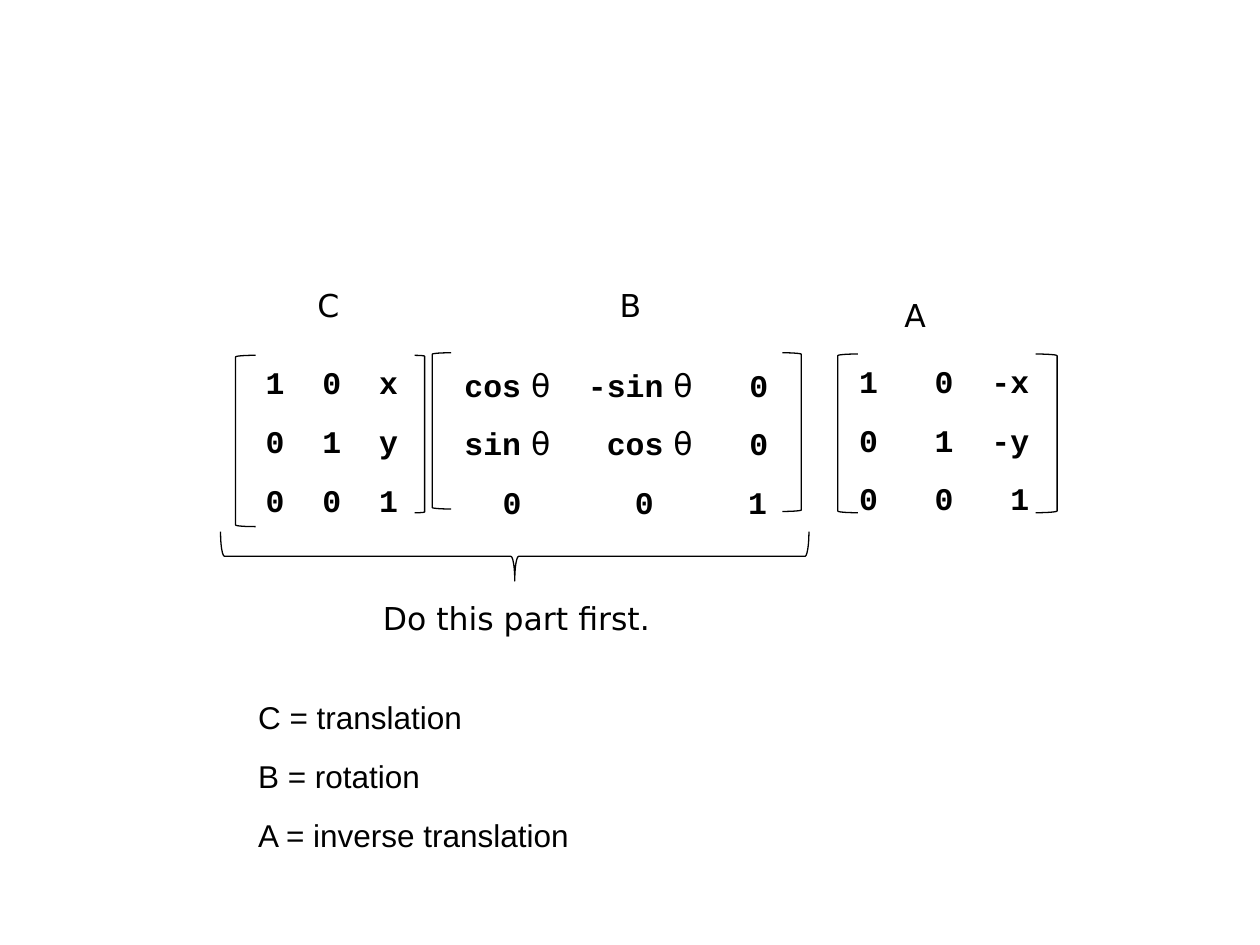
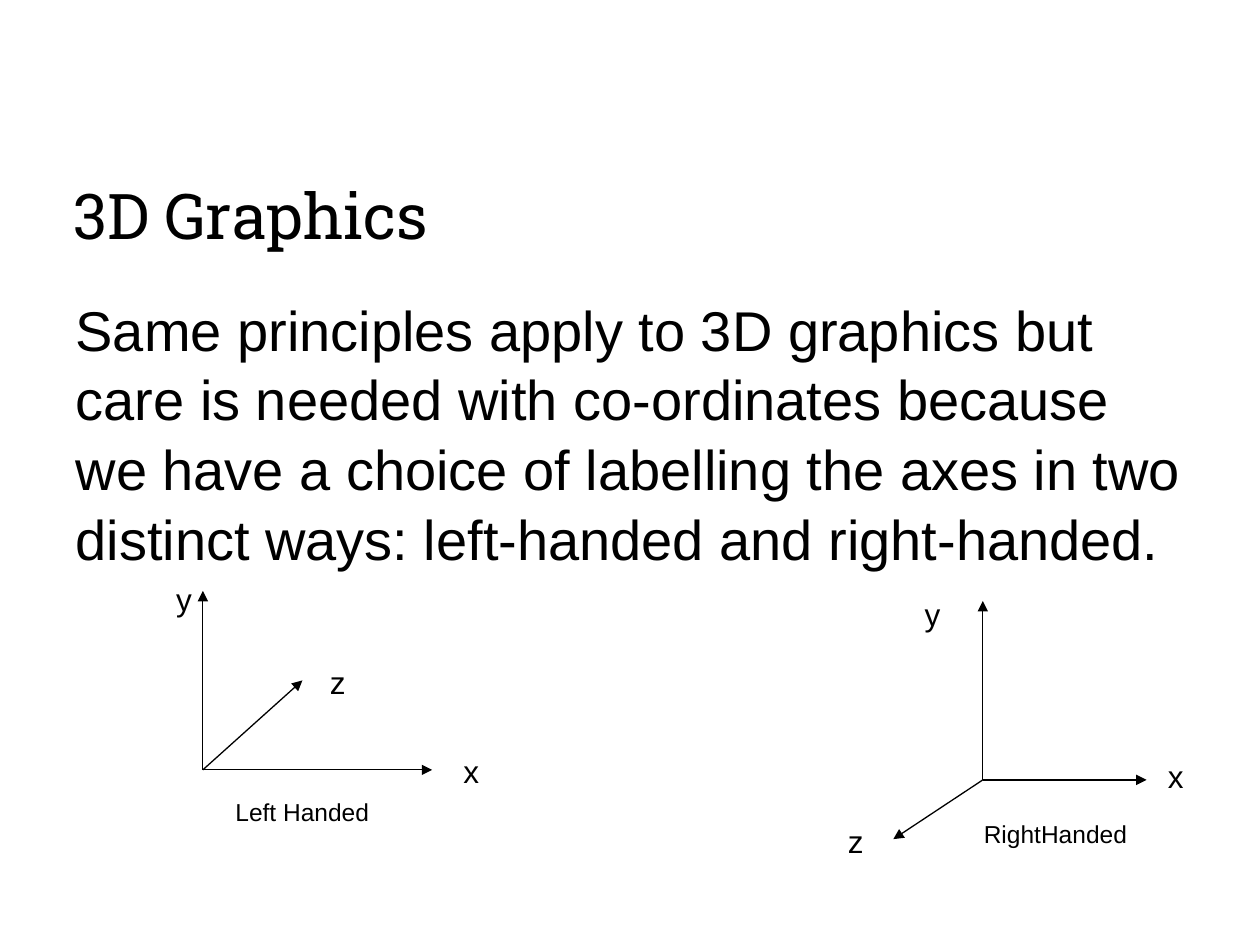
from pptx import Presentation
from pptx.dml.color import RGBColor
from pptx.enum.shapes import MSO_CONNECTOR as LINE, MSO_SHAPE as SHAPE
from pptx.enum.text import MSO_ANCHOR as ANCHOR, MSO_AUTO_SIZE as FIT, PP_ALIGN as ALIGN
from pptx.oxml.ns import qn
from pptx.util import Inches, Pt
from lxml.etree import SubElement

COLORS = {"ink": "000000", "page": "FFFFFF"}
SANS, MONO, GREEK, SLAB = "Arial", "Courier New", "DejaVu Sans", "Roboto Slab"
LEADING = 1.04

# Each matrix: box, column stops by row, rows, left and right bracket boxes
MATRICES = [
    {"box": (1.71, 2.82, 2.02, 1.32),
     "stops": [(0.45, 0.9, 1.35)] * 3,
     "rows": [("1", "0", "x"), ("0", "1", "y"), ("0", "0", "1")],
     "left": (1.87, 2.82, 0.16, 1.36), "right": (3.29, 2.82, 0.08, 1.25)},
    {"box": (3.29, 2.84, 3.3, 1.32),
     "stops": [(0.98, 2.11, 2.71)] * 2 + [(0.75, 1.8, 2.7)],
     "rows": [("cos θ", "-sin θ", "0"), ("sin θ", "cos θ", "0"), ("0", "0", "1")],
     "left": (3.43, 2.8, 0.15, 1.24), "right": (6.21, 2.8, 0.15, 1.26)},
    {"box": (6.42, 2.81, 2.2, 1.32),
     "stops": [(0.45, 1.05, 1.65)] * 3,
     "rows": [("1", "0", "-x"), ("0", "1", "-y"), ("0", "0", "1")],
     "left": (6.65, 2.81, 0.16, 1.26), "right": (8.22, 2.81, 0.17, 1.26)},
]
NAMES = [("C", 2.42, 2.21), ("B", 4.82, 2.21), ("A", 7.08, 2.29)]
BRACE = (3.89, 2.08, 0.39, 4.67)
HINT = ("Do this part first.", (2.94, 4.69, 2.44, 0.4))
KEY = (["C = translation", "B = rotation", "A = inverse translation"],
       (1.95, 5.48, 6.75, 1.32))

TITLE = ("3D Graphics", (0.48, 1.22, 9.02, 0.96))
BODY = ("Same principles apply to 3D graphics but care is needed with "
        "co-ordinates because we have a choice of labelling the axes in two "
        "distinct ways: left-handed and right-handed.", (0.5, 2.27, 9, 3.27))
# Each system: origin, axes as (name, arrow tip, label corner), caption
SYSTEMS = [
    {"origin": (1.61, 6.11),
     "axes": [("y", (1.61, 4.69), (1.3, 4.54)),
              ("x", (3.43, 6.11), (3.58, 5.91)),
              ("z", (2.4, 5.4), (2.52, 5.2))],
     "caption": ("Left Handed", (1.77, 6.27, 1.57, 0.34))},
    {"origin": (7.8, 6.19),
     "axes": [("y", (7.8, 4.77), (7.24, 4.66)),
              ("x", (9.1, 6.19), (9.17, 5.95)),
              ("z", (7.09, 6.66), (6.63, 6.46))],
     "caption": ("RightHanded", (7.71, 6.44, 1.57, 0.34))},
]


def inches(nums):
    return [Inches(n) for n in nums]


def ink():
    return RGBColor.from_string(COLORS["ink"])


def style(run, face, size, bold=False):
    font = run.font
    font.name, font.size, font.bold = face, Pt(size), bold
    font.color.rgb = ink()


def put_text(slide, lines, box, face=SANS, size=18):
    frame = slide.shapes.add_textbox(*inches(box)).text_frame
    frame.word_wrap = True
    frame.text = "\n".join(lines)
    for n, para in enumerate(frame.paragraphs):
        para.line_spacing = LEADING
        if n:
            para.space_before = Pt(11.2)
        for run in para.runs:
            style(run, face, size)
    return frame


def set_stops(para, stops):
    """Give a paragraph right-aligned tab stops."""
    tabs = SubElement(para._p.get_or_add_pPr(), qn("a:tabLst"))
    for stop in stops:
        SubElement(tabs, qn("a:tab"), pos=str(Inches(stop)), algn="r")


def outline(slide, kind, box, bend):
    shape = slide.shapes.add_shape(kind, *inches(box))
    shape.shadow.inherit = False
    shape.fill.background()
    shape.line.color.rgb = ink()
    shape.line.width = Pt(0.75)
    shape.adjustments[0] = bend
    return shape


def put_matrix(slide, matrix):
    frame = put_text(slide, [""] * len(matrix["rows"]), matrix["box"])
    for para, row, stops in zip(frame.paragraphs, matrix["rows"], matrix["stops"]):
        set_stops(para, stops)
        for cell in row:
            word, theta, _ = cell.partition(" θ")
            for text, face in (("\t" + word, MONO), (theta, GREEK)):
                if text:
                    run = para.add_run()
                    run.text = text
                    style(run, face, 18, face == MONO)
    outline(slide, SHAPE.LEFT_BRACKET, matrix["left"], 0.08)
    outline(slide, SHAPE.RIGHT_BRACKET, matrix["right"], 0.08)


def put_arrow(slide, start, tip):
    line = slide.shapes.add_connector(LINE.STRAIGHT, *inches(start + tip))
    line.line.color.rgb = ink()
    line.line.width = Pt(0.75)
    SubElement(line.line._get_or_add_ln(), qn("a:tailEnd"), type="triangle")
    SubElement(line._element.spPr, qn("a:effectLst"))


def fill_holder(holder, text, box, face, size):
    holder.left, holder.top, holder.width, holder.height = inches(box)
    frame = holder.text_frame
    frame.text = text
    frame.auto_size = FIT.NONE
    para = frame.paragraphs[0]
    props = para._p.get_or_add_pPr()
    props.set("marL", "0")
    props.set("indent", "0")
    SubElement(props, qn("a:buNone"))
    para.alignment = ALIGN.LEFT
    para.space_before = Pt(0)
    style(para.runs[0], face, size)
    return frame


def add_slide(deck, layout):
    slide = deck.slides.add_slide(deck.slide_layouts[layout])
    slide.background.fill.solid()
    slide.background.fill.fore_color.rgb = RGBColor.from_string(COLORS["page"])
    return slide


def matrix_slide(deck):
    slide = add_slide(deck, 6)
    for matrix in MATRICES:
        put_matrix(slide, matrix)
    outline(slide, SHAPE.RIGHT_BRACE, BRACE, 0.08).rotation = 90
    put_text(slide, [HINT[0]], HINT[1], GREEK)
    for name, left, top in NAMES:
        put_text(slide, [name], (left, top, 0.36, 0.4), GREEK)
    put_text(slide, *KEY)


def axes_slide(deck):
    slide = add_slide(deck, 1)
    title = fill_holder(slide.shapes.title, *TITLE, SLAB, 36)
    title.vertical_anchor = ANCHOR.MIDDLE
    body = fill_holder(slide.placeholders[1], *BODY, SANS, 32)
    body.paragraphs[0].line_spacing = LEADING
    for system in SYSTEMS:
        for name, tip, corner in system["axes"]:
            put_arrow(slide, system["origin"], tip)
            put_text(slide, [name], corner + (0.39, 0.4))
        text, box = system["caption"]
        put_text(slide, [text], box, size=14)


def main():
    deck = Presentation()
    deck.slide_width, deck.slide_height = Inches(10), Inches(7.5)
    matrix_slide(deck)
    axes_slide(deck)
    deck.save("out.pptx")


if __name__ == "__main__":
    main()
